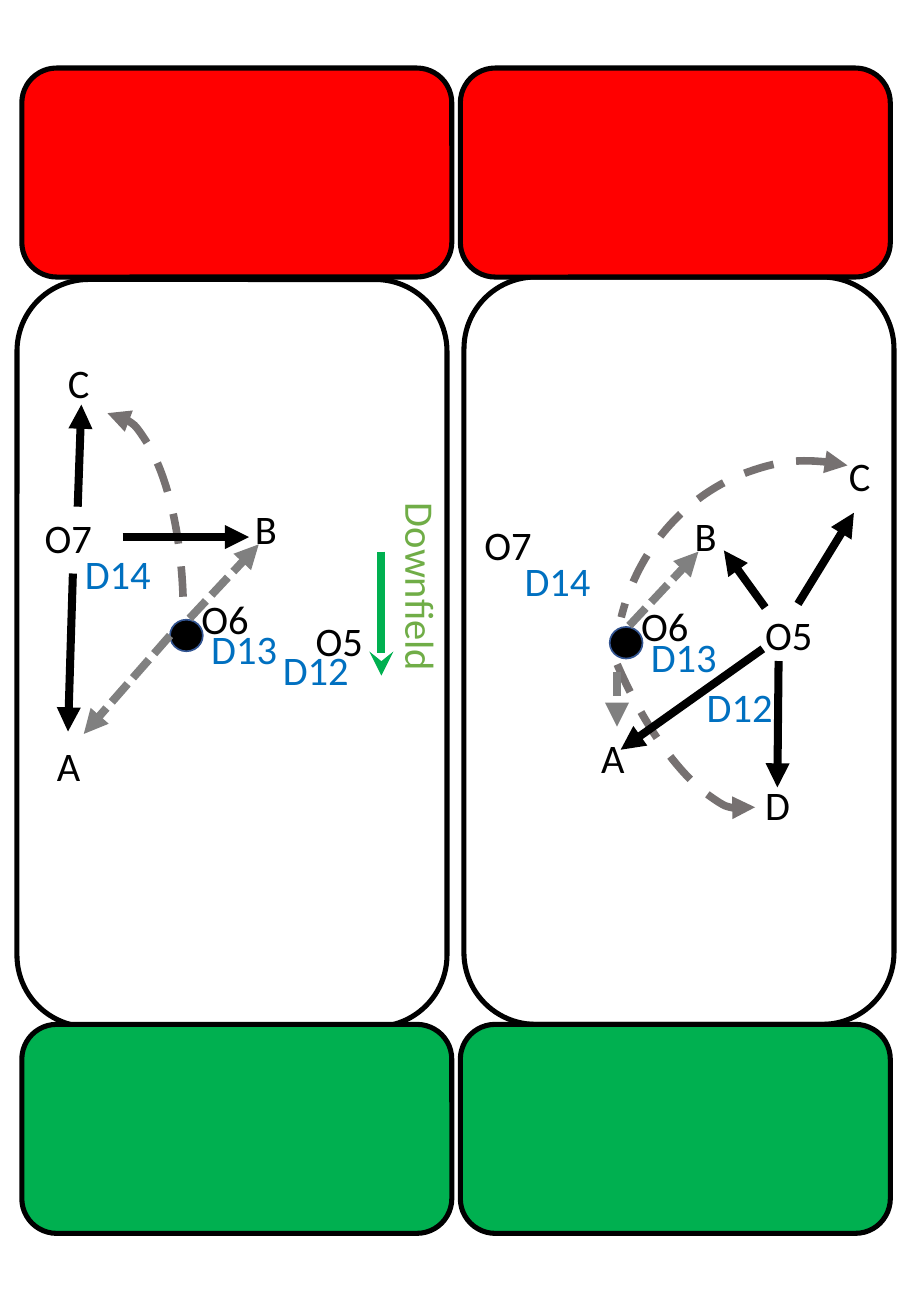
"""Draw two passing plays, side by side, on a pair of fields."""
import dataclasses
import typing

import lxml.etree
import pptx
import pptx.dml.color
import pptx.enum.dml
import pptx.enum.shapes
import pptx.enum.text
import pptx.oxml.ns
import pptx.shapes.base
import pptx.slide
import pptx.util

Inches = pptx.util.Inches
Color = pptx.dml.color.RGBColor
Kind = pptx.enum.shapes.MSO_SHAPE
Dash = pptx.enum.dml.MSO_LINE


@dataclasses.dataclass(frozen=True)
class Theme:
    black: Color = Color(0, 0, 0)
    white: Color = Color(255, 255, 255)
    red: Color = Color(255, 0, 0)
    green: Color = Color(0, 176, 80)
    lime: Color = Color(112, 173, 71)
    blue: Color = Color(0, 112, 192)
    navy: Color = Color(50, 84, 145)
    gray: Color = Color(128, 128, 128)
    stone: Color = Color(118, 113, 113)
    font: str = "Calibri"
    size: float = 24
    edge: float = 3
    thin: float = 1
    bold: float = 4.75
    curve: float = 4.5


THEME = Theme()


@dataclasses.dataclass(frozen=True)
class Label:
    text: str
    left: float
    top: float
    width: float = 0.47
    color: Color = THEME.black
    turn: float = 0


@dataclasses.dataclass(frozen=True)
class Block:
    kind: Kind
    left: float
    top: float
    width: float
    height: float
    fill: typing.Optional[Color] = None
    edge: Color = THEME.black
    weight: float = THEME.edge


@dataclasses.dataclass(frozen=True)
class Arrow:
    start: tuple[float, float]
    end: tuple[float, float]
    color: Color = THEME.black
    dash: typing.Optional[Dash] = None
    tip: str = "triangle"


@dataclasses.dataclass(frozen=True)
class Curve:
    left: float
    top: float
    width: float
    turn: float = 0
    flip: bool = False


def set_all(target: object, values: dict[str, object]) -> None:
    for name, value in values.items():
        setattr(target, name, value)


def set_line(shape: pptx.shapes.base.BaseShape, color: Color, weight: float,
             dash: typing.Optional[Dash] = None) -> None:
    shape.line.color.rgb = color
    set_all(shape.line, {"width": pptx.util.Pt(weight), "dash_style": dash})


def add_tip(shape: pptx.shapes.base.BaseShape, end: str, tip: str) -> None:
    line = shape._element.spPr.get_or_add_ln()
    lxml.etree.SubElement(line, pptx.oxml.ns.qn(end), type=tip)


def draw_block(slide: pptx.slide.Slide, block: Block) -> pptx.shapes.base.BaseShape:
    box = (block.left, block.top, block.width, block.height)
    shape = slide.shapes.add_shape(block.kind, *map(Inches, box))
    shape.shadow.inherit = False
    if block.fill is None:
        shape.fill.background()
    else:
        shape.fill.solid()
        shape.fill.fore_color.rgb = block.fill
    set_line(shape, block.edge, block.weight)
    return shape


def draw_label(slide: pptx.slide.Slide, label: Label) -> None:
    box = (label.left, label.top, label.width, 0.5)
    shape = slide.shapes.add_textbox(*map(Inches, box))
    shape.rotation = label.turn
    set_all(shape.text_frame, {
        "word_wrap": True,
        "auto_size": pptx.enum.text.MSO_AUTO_SIZE.SHAPE_TO_FIT_TEXT,
    })
    run = shape.text_frame.paragraphs[0].add_run()
    run.text = label.text
    set_all(run.font, {"name": THEME.font, "size": pptx.util.Pt(THEME.size)})
    run.font.color.rgb = label.color


def draw_arrow(slide: pptx.slide.Slide, arrow: Arrow) -> None:
    straight = pptx.enum.shapes.MSO_CONNECTOR.STRAIGHT
    line = slide.shapes.add_connector(straight, *map(Inches, arrow.start + arrow.end))
    set_line(line, arrow.color, THEME.bold, arrow.dash)
    add_tip(line, "a:tailEnd", arrow.tip)
    lxml.etree.SubElement(line._element.spPr, pptx.oxml.ns.qn("a:effectLst"))


def draw_curve(slide: pptx.slide.Slide, curve: Curve) -> None:
    shape = draw_block(slide, Block(Kind.ARC, curve.left, curve.top, curve.width, 3.32))
    shape.adjustments[0] = 162
    shape.adjustments[1] = 215.25
    shape.rotation = curve.turn
    if curve.flip:
        shape._element.spPr.xfrm.set("flipH", "1")
    set_line(shape, THEME.stone, THEME.curve, Dash.DASH)
    add_tip(shape, "a:headEnd", "triangle")


def draw_fields(slide: pptx.slide.Slide) -> None:
    for left, top in ((3.82, 2.28), (0.14, 2.3)):
        draw_block(slide, Block(Kind.ROUNDED_RECTANGLE, left, top, 3.54, 6.15, THEME.white))
    for left in (0.18, 3.79):
        for top, fill in ((8.43, THEME.green), (0.56, THEME.red)):
            draw_block(slide, Block(Kind.ROUNDED_RECTANGLE, left, top, 3.54, 1.72, fill))


def draw_core(slide: pptx.slide.Slide, right: float, down: float) -> None:
    for label in (
        Label("O6", 1.56, 4.84, 0.84), Label("O7", 0.27, 4.17, 0.74),
        Label("D13", 1.64, 5.09, 0.97, THEME.blue),
        Label("D14", 0.6, 4.47, 0.97, THEME.blue), Label("B", 2, 4.1),
    ):
        draw_label(slide, dataclasses.replace(
            label, left=label.left + right, top=label.top + down))
    draw_block(slide, Block(Kind.OVAL, 1.4 + right, 5.1 + down, 0.27, 0.26,
                            THEME.black, THEME.navy, THEME.thin))
    draw_arrow(slide, Arrow((1.56 + right, 5.09 + down), (2.13 + right, 4.48 + down),
                            THEME.gray, Dash.SQUARE_DOT))


LABELS = (
    Label("Downfield", 2.61, 4.65, 1.72, THEME.lime, 90),
    Label("A", 0.37, 6.05), Label("C", 0.46, 2.9),
    Label("O5", 2.5, 5.02, 0.74), Label("D12", 2.23, 5.26, 0.97, THEME.blue),
    Label("A", 4.85, 5.98), Label("C", 6.89, 3.66), Label("D", 6.2, 6.37),
    Label("O5", 6.2, 4.97, 0.74), Label("D12", 5.72, 5.56, 0.97, THEME.blue),
)
ARROWS = (
    Arrow((3.14, 4.54), (3.14, 5.56), THEME.green, tip="stealth"),
    Arrow((1.01, 4.42), (2.05, 4.42)),
    Arrow((1.4, 5.23), (0.69, 6.04), THEME.gray, Dash.SQUARE_DOT),
    Arrow((0.6, 4.72), (0.56, 6.02)),
    Arrow((0.64, 4.17), (0.67, 3.33)),
    Arrow((6.3, 5), (5.96, 4.53)),
    Arrow((5.08, 5.53), (5.08, 5.98), THEME.gray, Dash.SQUARE_DOT),
    Arrow((6.57, 4.97), (7.03, 4.22)),
    Arrow((6.28, 5.34), (5.11, 6.17)),
    Arrow((6.41, 5.44), (6.4, 6.48)),
)
CURVES = (
    Curve(0.26, 3.4, 1.25),
    Curve(4.98, 3.44, 1.25, 158.4),
    Curve(5.07, 3.79, 3.09, 12.6, True),
)


def main() -> None:
    deck = pptx.Presentation()
    set_all(deck, {"slide_width": Inches(7.5), "slide_height": Inches(10.83)})
    slide = deck.slides.add_slide(deck.slide_layouts[6])
    draw_fields(slide)
    for right, down in ((0, 0), (3.62, 0.06)):
        draw_core(slide, right, down)
    for draw, items in ((draw_label, LABELS), (draw_curve, CURVES), (draw_arrow, ARROWS)):
        for item in items:
            draw(slide, item)
    deck.save("out.pptx")


if __name__ == "__main__":
    main()
